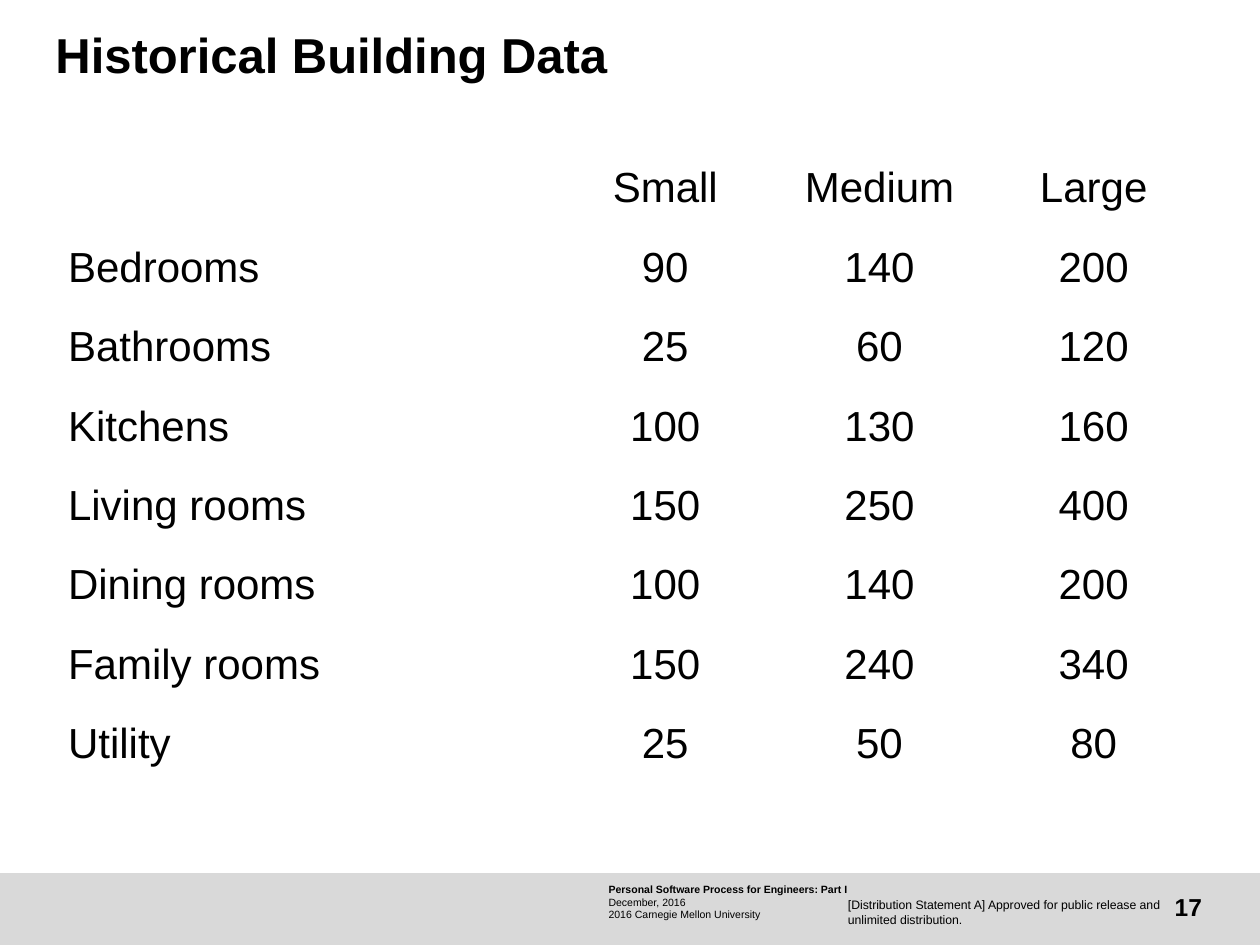
"""Build the slide of historical building data by room type and size."""
from pptx import Presentation
from pptx.dml.color import RGBColor
from pptx.enum.shapes import MSO_SHAPE
from pptx.enum.text import MSO_ANCHOR, PP_ALIGN
from pptx.util import Inches, Pt

RECT = MSO_SHAPE.RECTANGLE
TOP, MIDDLE = MSO_ANCHOR.TOP, MSO_ANCHOR.MIDDLE
LEFT, CENTER, RIGHT = PP_ALIGN.LEFT, PP_ALIGN.CENTER, PP_ALIGN.RIGHT
BLACK = RGBColor(0, 0, 0)
GREY = RGBColor(0xD9, 0xD9, 0xD9)

TITLE = "Historical Building Data"
ROWS = [
    ("", "Small", "Medium", "Large"),
    ("Bedrooms", 90, 140, 200),
    ("Bathrooms", 25, 60, 120),
    ("Kitchens", 100, 130, 160),
    ("Living rooms", 150, 250, 400),
    ("Dining rooms", 100, 140, 200),
    ("Family rooms", 150, 240, 340),
    ("Utility", 25, 50, 80),
]
COURSE = ["Personal Software Process for Engineers: Part I",
          "December, 2016", "2016 Carnegie Mellon University"]
NOTICE = ("[Distribution Statement A] Approved for public release "
          "and unlimited distribution.")
PAGE = "17"

WIDE, HIGH = 10, 7.5
BAR = 0.57
EDGE = 0.44
COLS = (3.99, 1.7, 1.7, 1.7)
STEP = 0.63


def write(frame, *lines, size, bold=0, align=LEFT, space=None):
    """Fill a text frame, setting the first `bold` lines in bold."""
    for i, line in enumerate(lines):
        para = frame.paragraphs[0] if i == 0 else frame.add_paragraph()
        para.alignment = align
        para.line_spacing = space
        run = para.add_run()
        run.text = line
        font = run.font
        font.name, font.size, font.bold = "Arial", Pt(size), i < bold
        font.color.rgb = BLACK


def add_box(slide, area, *lines, anchor=TOP, **style):
    """Add a text box without margins."""
    frame = slide.shapes.add_textbox(*map(Inches, area)).text_frame
    frame.word_wrap = True
    frame.vertical_anchor = anchor
    frame.margin_left = frame.margin_right = 0
    frame.margin_top = frame.margin_bottom = 0
    write(frame, *lines, **style)


def add_grid(slide):
    """Add the table of sizes."""
    area = (EDGE, 1.18, sum(COLS), STEP * len(ROWS))
    table = slide.shapes.add_table(
        len(ROWS), len(COLS), *map(Inches, area)).table
    table.first_row = table.horz_banding = False
    for col, width in zip(table.columns, COLS):
        col.width = Inches(width)
    for r, row in enumerate(ROWS):
        table.rows[r].height = Inches(STEP)
        for c, value in enumerate(row):
            cell = table.cell(r, c)
            cell.fill.background()
            cell.vertical_anchor = MIDDLE
            if value != "":
                write(cell.text_frame, str(value), size=24,
                      align=CENTER if c else LEFT)


def main():
    """Build and save the slide."""
    deck = Presentation()
    deck.slide_width, deck.slide_height = Inches(WIDE), Inches(HIGH)
    slide = deck.slides.add_slide(deck.slide_layouts[6])
    bar = slide.shapes.add_shape(
        RECT, 0, Inches(HIGH - BAR), Inches(WIDE), Inches(BAR))
    bar.shadow.inherit = False
    bar.fill.solid()
    bar.fill.fore_color.rgb = GREY
    bar.line.fill.background()
    add_box(slide, (4.83, 7.01, 2.21, 0.3), *COURSE, size=6, bold=1)
    add_box(slide, (8.98, 7, 0.56, 0.4), PAGE, size=14, bold=1,
            align=RIGHT, anchor=MIDDLE)
    add_box(slide, (6.73, 7.12, 2.54, 0.23), NOTICE, size=7)
    add_box(slide, (EDGE, 0.25, 8.31, 0.73), TITLE, size=28, bold=1,
            space=0.9)
    add_grid(slide)
    deck.save("out.pptx")


if __name__ == "__main__":
    main()
